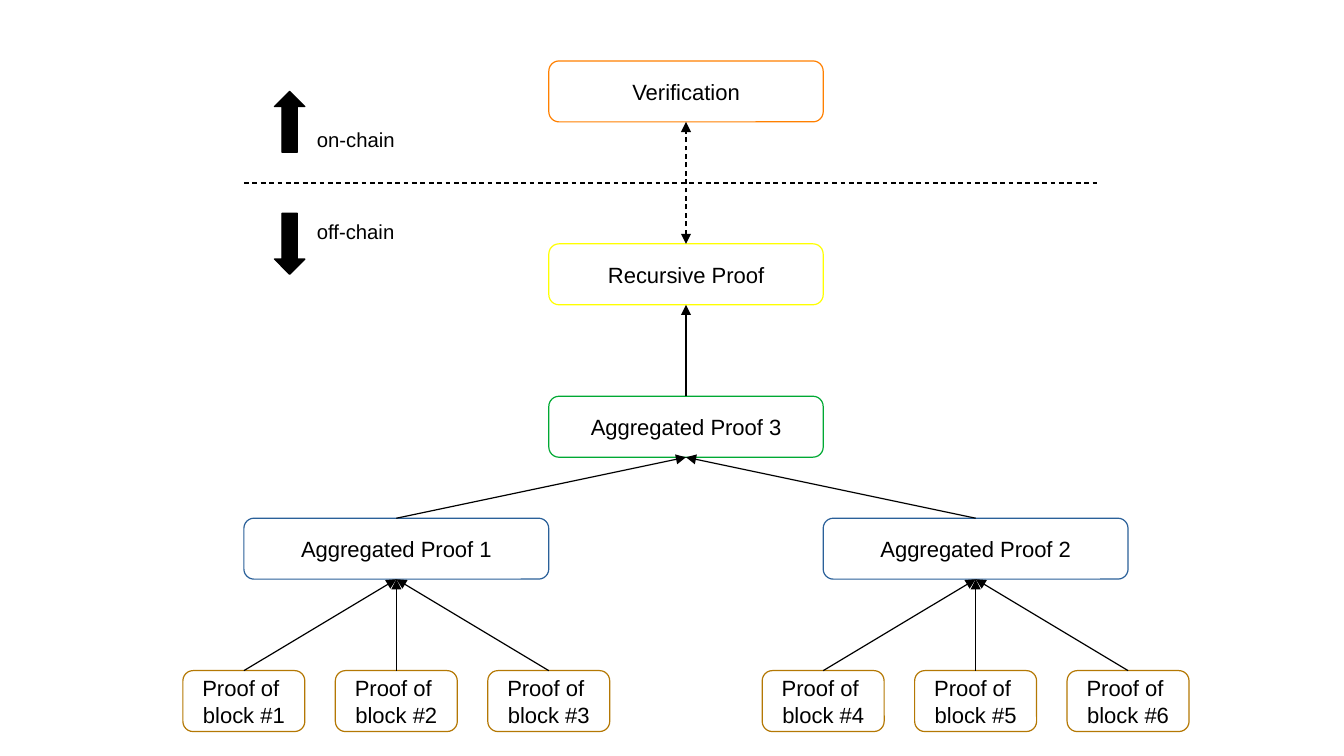
from pptx import Presentation
from pptx.dml.color import RGBColor
from pptx.enum import dml, shapes, text
from pptx.oxml import ns
from pptx.util import Pt
from lxml import etree

BLACK = RGBColor(0, 0, 0)
WHITE = RGBColor(255, 255, 255)
OCHRE = RGBColor(0xB4, 0x78, 0x04)
BLUE = RGBColor(0x2A, 0x60, 0x99)
GREEN = RGBColor(0, 0xA9, 0x33)
YELLOW = RGBColor(255, 255, 0)
ORANGE = RGBColor(255, 128, 0)

SLIDE_W, SLIDE_H = 793.44, 446.4
BOX_H = 36
LINE_W = 0.71
TOP, BOTTOM = 0, 2
BLOCK_W, BLOCK_STEP, BLOCK_TOP = 72, 90, 396
SHAPE = shapes.MSO_SHAPE

PROOFS = [
    ("Aggregated Proof 1", 144, 306, 180, BLUE),
    ("Aggregated Proof 3", 324, 234, 162, GREEN),
    ("Aggregated Proof 2", 486, 306, 180, BLUE),
    ("Recursive Proof", 324, 144, 162, YELLOW),
    ("Verification", 324, 36, 162, ORANGE),
]
BLOCK_GROUPS = [("Aggregated Proof 1", 108, (1, 2, 3)),
                ("Aggregated Proof 2", 450, (4, 5, 6))]
LINKS = [
    ("Aggregated Proof 1", "Aggregated Proof 3"),
    ("Aggregated Proof 2", "Aggregated Proof 3"),
    ("Aggregated Proof 3", "Recursive Proof"),
]
SIDES = [("off-chain", SHAPE.DOWN_ARROW, 126, 126),
         ("on-chain", SHAPE.UP_ARROW, 54, 72)]


def points(*values):
    return [Pt(v) for v in values]


def write(s, lines, size, align, wrap):
    tf = s.text_frame
    frame = {"word_wrap": wrap, "vertical_anchor": text.MSO_ANCHOR.MIDDLE,
             "margin_left": Pt(7.2), "margin_right": Pt(7.2),
             "margin_top": Pt(3.6), "margin_bottom": Pt(3.6)}
    for key, value in frame.items():
        setattr(tf, key, value)
    for i, line in enumerate(lines):
        p = tf.add_paragraph() if i else tf.paragraphs[0]
        p.alignment = align
        r = p.add_run()
        r.text = line
        for key, value in {"name": "Arial", "size": Pt(size)}.items():
            setattr(r.font, key, value)
        r.font.color.rgb = BLACK


def add_solid(slide, kind, at, fill, line):
    s = slide.shapes.add_shape(kind, *points(*at))
    s.shadow.inherit = False
    s.fill.solid()
    s.fill.fore_color.rgb = fill
    s.line.color.rgb = line
    s.line.width = Pt(LINE_W)
    return s


def add_box(slide, lines, x, y, w, color):
    s = add_solid(slide, SHAPE.ROUNDED_RECTANGLE, (x, y, w, BOX_H), WHITE, color)
    s.adjustments[0] = 0.167
    write(s, lines, 13, text.PP_ALIGN.CENTER, True)
    return s


def add_line(slide, ends=(0, 0, 0, 0), dashed=False, heads=()):
    c = slide.shapes.add_connector(shapes.MSO_CONNECTOR.STRAIGHT, *points(*ends))
    c.line.color.rgb = BLACK
    c.line.width = Pt(LINE_W)
    if dashed:
        c.line.dash_style = dml.MSO_LINE.DASH
    ln = c.line._get_or_add_ln()
    for head in heads:
        etree.SubElement(ln, ns.qn("a:" + head), type="triangle")
    etree.SubElement(c._element.spPr, ns.qn("a:effectLst"))
    return c


def link(slide, lower, upper, **style):
    c = add_line(slide, **style)
    c.begin_connect(lower, TOP)
    c.end_connect(upper, BOTTOM)


def main():
    prs = Presentation()
    prs.slide_width, prs.slide_height = points(SLIDE_W, SLIDE_H)
    slide = prs.slides.add_slide(prs.slide_layouts[6])

    pairs = []
    for parent, left, numbers in BLOCK_GROUPS:
        for i, n in enumerate(numbers):
            block = add_box(slide, ("Proof of ", f"block #{n}"),
                            left + i * BLOCK_STEP, BLOCK_TOP, BLOCK_W, OCHRE)
            pairs.append((block, parent))
    boxes = {name: add_box(slide, [name], *rest) for name, *rest in PROOFS}
    pairs += [(boxes[lower], upper) for lower, upper in LINKS]

    for lower, upper in pairs:
        link(slide, lower, boxes[upper], heads=["tailEnd"])
    link(slide, boxes["Recursive Proof"], boxes["Verification"],
         dashed=True, heads=["headEnd", "tailEnd"])
    add_line(slide, (144, 108, 648, 108), dashed=True)

    for label, arrow, arrow_top, label_top in SIDES:
        add_solid(slide, arrow, (162, arrow_top, 18, 36), BLACK, BLACK)
        s = slide.shapes.add_textbox(*points(180, label_top, 60.5, 20.9))
        write(s, [label], 12, text.PP_ALIGN.LEFT, False)
        s.text_frame.auto_size = text.MSO_AUTO_SIZE.SHAPE_TO_FIT_TEXT

    prs.save("out.pptx")


if __name__ == "__main__":
    main()
